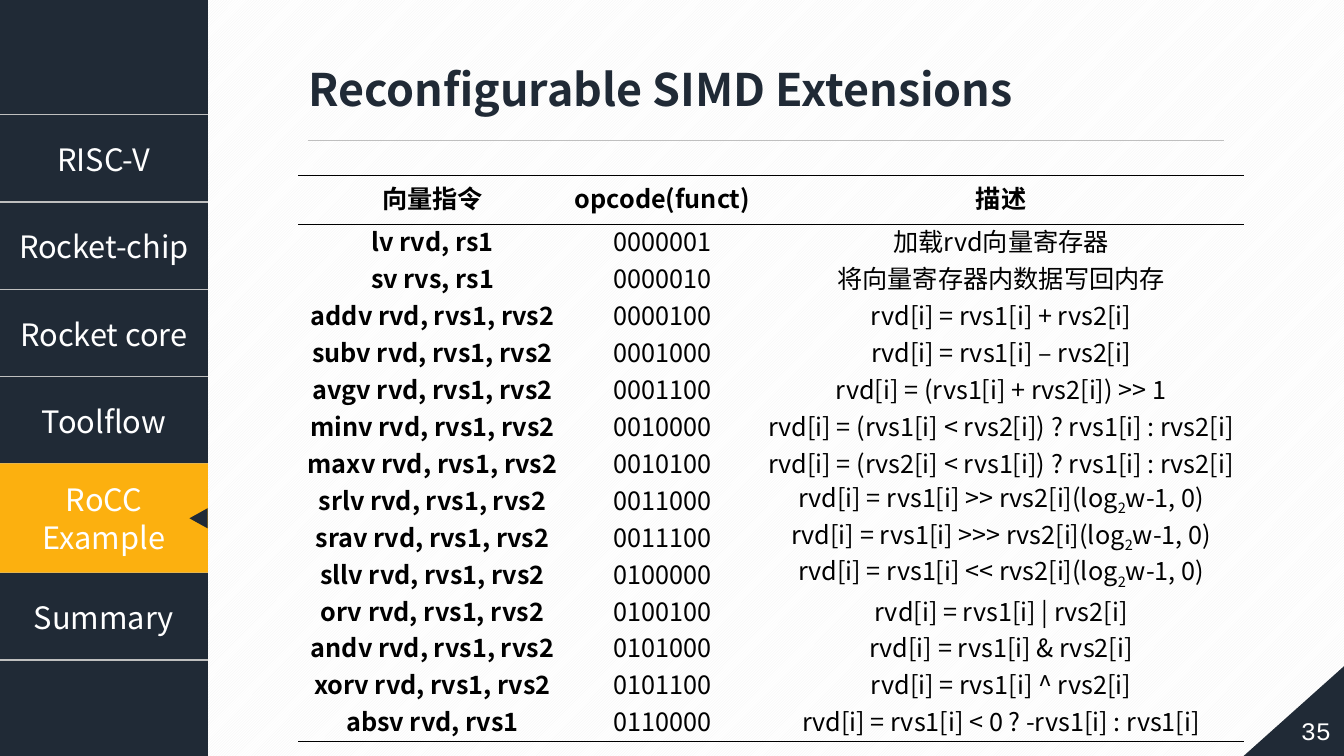
from lxml import etree
from pptx import Presentation
from pptx import util as u
from pptx.dml.color import RGBColor
from pptx.enum import dml, shapes, text
from pptx.oxml.ns import qn

COLORS = {
    "navy": "202A36",
    "amber": "FCB00F",
    "rule": "BFBFBF",
    "stripe": "F2F2F2",
    "white": "FFFFFF",
    "black": "000000",
}
FONT = "Noto Sans CJK SC"
NO_STYLE = "{2D5ABB26-0587-4C30-8999-92F81FD0307C}"

# An empty label leaves room for the highlighted section
SECTIONS = ["RISC-V", "Rocket-chip", "Rocket core", "Toolflow", "", "Summary"]
ACTIVE = "RoCC Example"

HEADER = ("向量指令", "opcode(funct)", "描述")
INSTRUCTIONS = [
    ("lv rvd, rs1", "0000001", "加载rvd向量寄存器"),
    ("sv rvs, rs1", "0000010", "将向量寄存器内数据写回内存"),
    ("addv rvd, rvs1, rvs2", "0000100", "rvd[i] = rvs1[i] + rvs2[i]"),
    ("subv rvd, rvs1, rvs2", "0001000", "rvd[i] = rvs1[i] – rvs2[i]"),
    ("avgv rvd, rvs1, rvs2", "0001100", "rvd[i] = (rvs1[i] + rvs2[i]) >> 1"),
    ("minv rvd, rvs1, rvs2", "0010000",
     "rvd[i] = (rvs1[i] < rvs2[i]) ? rvs1[i] : rvs2[i]"),
    ("maxv rvd, rvs1, rvs2", "0010100",
     "rvd[i] = (rvs2[i] < rvs1[i]) ? rvs1[i] : rvs2[i]"),
    ("srlv rvd, rvs1, rvs2", "0011000", "rvd[i] = rvs1[i] >> rvs2[i](log₂w-1, 0)"),
    ("srav rvd, rvs1, rvs2", "0011100", "rvd[i] = rvs1[i] >>> rvs2[i](log₂w-1, 0)"),
    ("sllv rvd, rvs1, rvs2", "0100000", "rvd[i] = rvs1[i] << rvs2[i](log₂w-1, 0)"),
    ("orv rvd, rvs1, rvs2", "0100100", "rvd[i] = rvs1[i] | rvs2[i]"),
    ("andv rvd, rvs1, rvs2", "0101000", "rvd[i] = rvs1[i] & rvs2[i]"),
    ("xorv rvd, rvs1, rvs2", "0101100", "rvd[i] = rvs1[i] ^ rvs2[i]"),
    ("absv rvd, rvs1", "0110000", "rvd[i] = rvs1[i] < 0 ? -rvs1[i] : rvs1[i]"),
]


def rgb(color):
    return RGBColor.from_string(COLORS[color])


def add_run(p, words, size, color, bold=False, font=FONT, subscript=False):
    r = p.add_run()
    r.text = words
    r.font.size = u.Pt(size)
    r.font.bold = bold
    r.font.color.rgb = rgb(color)
    r.font.name = font
    rpr = r.font._element
    etree.SubElement(rpr, qn("a:ea")).set("typeface", font)
    if subscript:
        rpr.set("baseline", "-25000")


def write(tf, words, size, color, bold=False, font=FONT, spacing=None, centred=True):
    """Fill the first paragraph; the sign ₂ becomes a lowered run."""
    p = tf.paragraphs[0]
    if centred:
        p.alignment = text.PP_ALIGN.CENTER
    if spacing:
        p.line_spacing = u.Pt(spacing)
    before, mark, after = words.partition("₂")
    for part, lowered in ((before, False), ("2" if mark else "", True), (after, False)):
        if part:
            add_run(p, part, size, color, bold, font, lowered)


def add_block(parent, kind, x, y, w, h, fill=None, flip=False):
    sp = parent.add_shape(kind, u.Cm(x), u.Cm(y), u.Cm(w), u.Cm(h))
    sp.shadow.inherit = False
    sp.line.fill.background()
    if fill:
        sp.fill.solid()
        sp.fill.fore_color.rgb = rgb(fill)
    else:
        sp.fill.background()
    if flip:
        sp._element.spPr.find(qn("a:xfrm")).set("flipH", "1")
    tf = sp.text_frame
    tf.word_wrap = True
    tf.vertical_anchor = text.MSO_ANCHOR.MIDDLE
    return sp


def add_grid(slide, x, y, widths, heights):
    frame = slide.shapes.add_table(len(heights), len(widths), u.Cm(x), u.Cm(y),
                                   u.Cm(sum(widths)), u.Cm(sum(heights)))
    table = frame.table
    table.first_row = table.horz_banding = False
    table._tbl.tblPr.find(qn("a:tableStyleId")).text = NO_STYLE
    for column, width in zip(table.columns, widths):
        column.width = u.Cm(width)
    for row, height in zip(table.rows, heights):
        row.height = u.Cm(height)
    for cell in table.iter_cells():
        cell.fill.background()
        cell.vertical_anchor = text.MSO_ANCHOR.MIDDLE
    return table


def add_borders(cell, color, *sides):
    """Draw 1 pt borders; sides are "T" and "B", in that order."""
    tcpr = cell._tc.get_or_add_tcPr()
    for side in reversed(sides):
        ln = etree.Element(qn("a:ln" + side), w=str(u.Pt(1)))
        fill = etree.SubElement(ln, qn("a:solidFill"))
        etree.SubElement(fill, qn("a:srgbClr")).set("val", COLORS[color])
        tcpr.insert(0, ln)


def add_rule(slide, x1, x2, y):
    line = slide.shapes.add_connector(shapes.MSO_CONNECTOR.STRAIGHT,
                                      u.Cm(x1), u.Cm(y), u.Cm(x2), u.Cm(y))
    line.line.color.rgb = rgb("rule")
    line.line.width = u.Pt(0.5)
    etree.SubElement(line._element.spPr, qn("a:effectLst"))


def add_sidebar(slide):
    kinds = shapes.MSO_SHAPE
    add_block(slide.shapes, kinds.RECTANGLE, 0, 0, 5.24, 19.05, "navy")
    heights = [2.2 if name else 2.74 for name in SECTIONS]
    table = add_grid(slide, 0, 2.89, [5.24], heights)
    for cell, name in zip(table.iter_cells(), SECTIONS):
        add_borders(cell, "rule", "T", "B")
        if name:
            write(cell.text_frame, name, 22, "white")

    # Highlighted section with its pointer
    group = slide.shapes.add_group_shape()
    sp = add_block(group.shapes, kinds.RECTANGLE, 0, 11.68, 5.24, 2.75, "amber")
    write(sp.text_frame, ACTIVE, 22, "white", spacing=26.5)
    pointer = add_block(group.shapes, kinds.ISOSCELES_TRIANGLE,
                        4.75, 12.83, 0.51, 0.46, "navy")
    pointer.rotation = 270


def add_title(slide, words):
    sp = slide.shapes.add_textbox(u.Cm(7.52), u.Cm(1.42), u.Cm(20.57), u.Cm(1.63))
    sp.text_frame.word_wrap = True
    write(sp.text_frame, words, 32, "navy", bold=True, centred=False)
    add_rule(slide, 7.75, 30.84, 3.53)


def add_instruction_table(slide):
    rows = [HEADER] + INSTRUCTIONS
    heights = [1.24] + [0.93] * len(INSTRUCTIONS)
    table = add_grid(slide, 7.52, 4.42, [6.76, 4.83, 12.24], heights)
    for i, row in enumerate(rows):
        for j, words in enumerate(row):
            cell = table.cell(i, j)
            cell.margin_left = cell.margin_right = u.Cm(0.18)
            cell.margin_top = cell.margin_bottom = 0
            write(cell.text_frame, words, 18, "black", bold=i == 0 or j == 0, spacing=23)
            if i == 0:
                add_borders(cell, "black", "T", "B")
            elif i == len(rows) - 1:
                add_borders(cell, "black", "B")


def add_page_number(slide, number):
    kinds = shapes.MSO_SHAPE
    add_block(slide.shapes, kinds.RIGHT_TRIANGLE, 31.32, 16.71, 2.64, 2.36, "navy", flip=True)
    sp = add_block(slide.shapes, kinds.PENTAGON, 31.62, 17.7, 2.74, 1.4, flip=True)
    write(sp.text_frame, number, 18, "white", font="Courier New")


def main():
    prs = Presentation()
    prs.slide_width, prs.slide_height = u.Cm(33.87), u.Cm(19.05)
    slide = prs.slides.add_slide(prs.slide_layouts[6])

    # Striped background
    fill = slide.background.fill
    fill.patterned()
    fill.pattern = dml.MSO_PATTERN.LIGHT_UPWARD_DIAGONAL
    fill.fore_color.rgb = rgb("stripe")
    fill.back_color.rgb = rgb("white")

    add_sidebar(slide)
    add_page_number(slide, "35")
    add_instruction_table(slide)
    add_title(slide, "Reconfigurable SIMD Extensions")
    prs.save("out.pptx")


if __name__ == "__main__":
    main()
